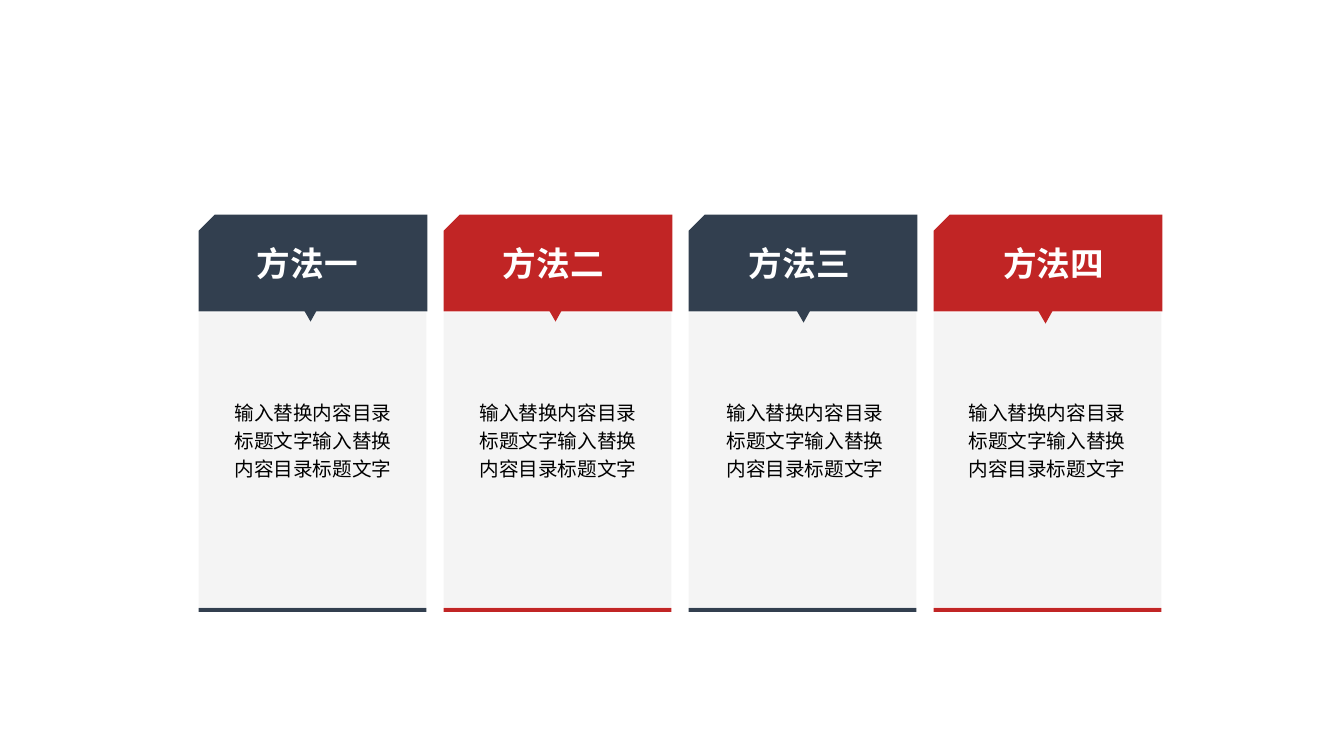
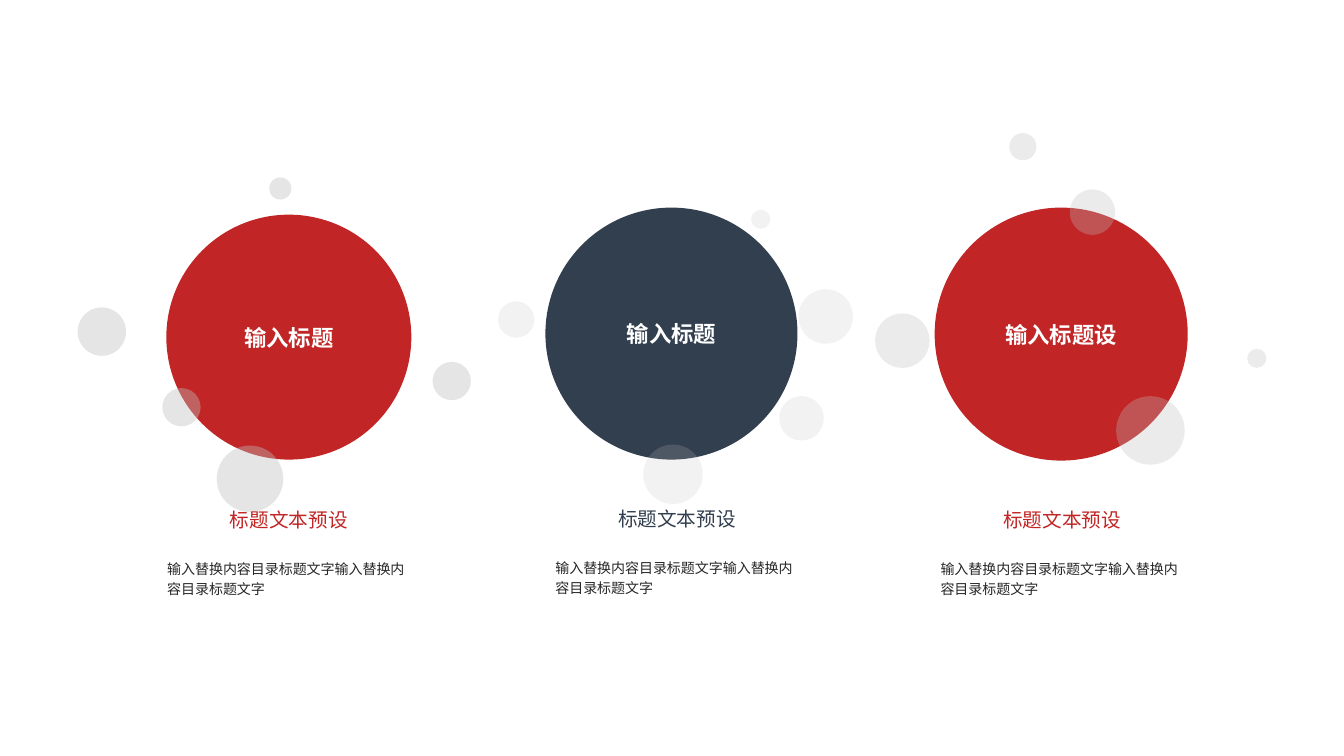
import dataclasses

import lxml.etree
import pptx
import pptx.dml.color
import pptx.enum.shapes
import pptx.enum.text
import pptx.oxml.ns
import pptx.util

Inches = pptx.util.Inches
SHAPE = pptx.enum.shapes.MSO_SHAPE
ALIGN = pptx.enum.text.PP_ALIGN
ANCHOR = pptx.enum.text.MSO_ANCHOR
qn = pptx.oxml.ns.qn


@dataclasses.dataclass(frozen=True)
class Theme:
    navy: str = "323F4F"
    red: str = "C12525"
    panel: str = "878787"
    bubble: str = "BFBFBF"
    white: str = "FFFFFF"
    black: str = "000000"
    ink: str = "262626"
    cjk: str = "Noto Sans CJK SC"
    latin: str = "Arial"
    heading: int = 24
    label: int = 16
    body: int = 14
    caption: int = 10


class Deck:
    def __init__(self, theme):
        self.theme = theme
        self.presentation = pptx.Presentation()
        self.presentation.slide_width = Inches(13.33)
        self.presentation.slide_height = Inches(7.5)
        self.slide = None

    def new_slide(self):
        self.slide = self.presentation.slides.add_slide(self.presentation.slide_layouts[6])

    def shape(self, preset, box, color, opacity=100, rotation=0, mirrored=False):
        shape = self.slide.shapes.add_shape(preset, *map(Inches, box))
        shape.shadow.inherit = False
        shape.line.fill.background()
        shape.fill.solid()
        shape.fill.fore_color.rgb = pptx.dml.color.RGBColor.from_string(color)
        shape.rotation = rotation
        if opacity < 100:
            tint = shape._element.spPr.find(".//" + qn("a:srgbClr"))
            lxml.etree.SubElement(tint, qn("a:alpha")).set("val", str(opacity * 1000))
        if mirrored:
            shape._element.spPr.find(qn("a:xfrm")).set("flipH", "1")
        return shape

    def set_words(self, shape, words, size, color, font, bold=False, align=ALIGN.LEFT,
                  anchor=ANCHOR.TOP, spacing=1.0, wrap=True, inset=(0.1, 0.05)):
        frame = shape.text_frame
        frame.word_wrap = wrap
        frame.vertical_anchor = anchor
        frame.margin_left = frame.margin_right = Inches(inset[0])
        frame.margin_top = frame.margin_bottom = Inches(inset[1])
        paragraph = frame.paragraphs[0]
        paragraph.text = words
        paragraph.alignment = align
        paragraph.line_spacing = spacing
        paragraph.font.size = pptx.util.Pt(size)
        paragraph.font.bold = bold
        paragraph.font.color.rgb = pptx.dml.color.RGBColor.from_string(color)
        paragraph.font.name = font
        properties = paragraph._p.find(qn("a:pPr")).find(qn("a:defRPr"))
        lxml.etree.SubElement(properties, qn("a:ea")).set("typeface", self.theme.cjk)

    def text(self, box, words, size, color, font, **style):
        self.set_words(self.slide.shapes.add_textbox(*map(Inches, box)),
                       words, size, color, font, **style)

    def card(self, left, color, title, title_left, pointer, body_left, body):
        theme = self.theme
        self.shape(SHAPE.RECTANGLE, (left, 3.1, 2.26, 2.92), theme.panel, opacity=9)
        self.shape(SHAPE.SNIP_1_RECTANGLE, (left, 2.13, 2.27, 0.96), color, mirrored=True)
        self.shape(SHAPE.ISOSCELES_TRIANGLE, (*pointer, 0.18, 0.15), color, rotation=60)
        self.shape(SHAPE.RECTANGLE, (left, 6.03, 2.26, 0.04), color)
        self.text((title_left, 2.36, 1.3, 0.5), title, theme.heading, theme.white,
                  theme.cjk, bold=True)
        self.text((body_left, 3.88, 1.93, 0.95), body, theme.body, theme.black,
                  theme.cjk, align=ALIGN.CENTER, spacing=1.2)

    def topic(self, circle, color, label, opacity, bubbles):
        left, top, diameter = circle
        disc = self.shape(SHAPE.OVAL, (left, top, diameter, diameter), color)
        self.set_words(disc, label, self.theme.label, self.theme.white, self.theme.latin,
                       bold=True, align=ALIGN.CENTER, anchor=ANCHOR.MIDDLE,
                       wrap=False, inset=(0, 0))
        for x, y, size in bubbles:
            self.shape(SHAPE.OVAL, (x, y, size, size), self.theme.bubble, opacity)

    def caption(self, left, top, color, title, body):
        theme = self.theme
        self.text((left, top, 2.61, 0.7), title, theme.body, color, theme.latin,
                  align=ALIGN.CENTER, anchor=ANCHOR.BOTTOM, wrap=False, inset=(0, 0))
        self.text((left, top + 0.7, 2.61, 0.92), body, theme.caption, theme.ink,
                  theme.cjk, anchor=ANCHOR.MIDDLE, spacing=1.2)


BODY = "输入替换内容目录标题文字" * 2
theme = Theme()
deck = Deck(theme)

deck.new_slide()
methods = [
    ("方法一", 2.45, (3.01, 3), 2.14),
    ("方法二", 4.89, (5.44, 3), 4.57),
    ("方法三", 7.33, (7.9, 3.01), 7.02),
    ("方法四", 9.85, (10.3, 3.02), 9.42),
]
for index, (title, title_left, pointer, body_left) in enumerate(methods):
    color = (theme.navy, theme.red)[index % 2]
    deck.card(1.97 + 2.43 * index, color, title, title_left, pointer, body_left, BODY)

deck.new_slide()
topics = [
    ((1.65, 2.13, 2.43), theme.red, "输入标题", 40, (1.56, 4.57),
     [(4.29, 3.59, 0.38), (1.61, 3.85, 0.38), (2.15, 4.42, 0.66),
      (2.67, 1.76, 0.22), (0.77, 3.05, 0.48)]),
    ((5.41, 2.06, 2.5), theme.navy, "输入标题", 20, (5.41, 4.56),
     [(4.94, 2.99, 0.36), (6.38, 4.41, 0.59), (7.45, 2.08, 0.19),
      (7.73, 3.93, 0.44), (7.92, 2.87, 0.54)]),
    ((9.27, 2.06, 2.51), theme.red, "输入标题设", 30, (9.23, 4.57),
     [(8.68, 3.11, 0.54), (10.01, 1.32, 0.27), (11.07, 3.93, 0.68),
      (12.37, 3.46, 0.19), (10.61, 1.88, 0.45)]),
]
for circle, color, label, opacity, caption_at, bubbles in topics:
    deck.topic(circle, color, label, opacity, bubbles)
    deck.caption(*caption_at, color, "标题文本预设", BODY)

deck.presentation.save("out.pptx")
